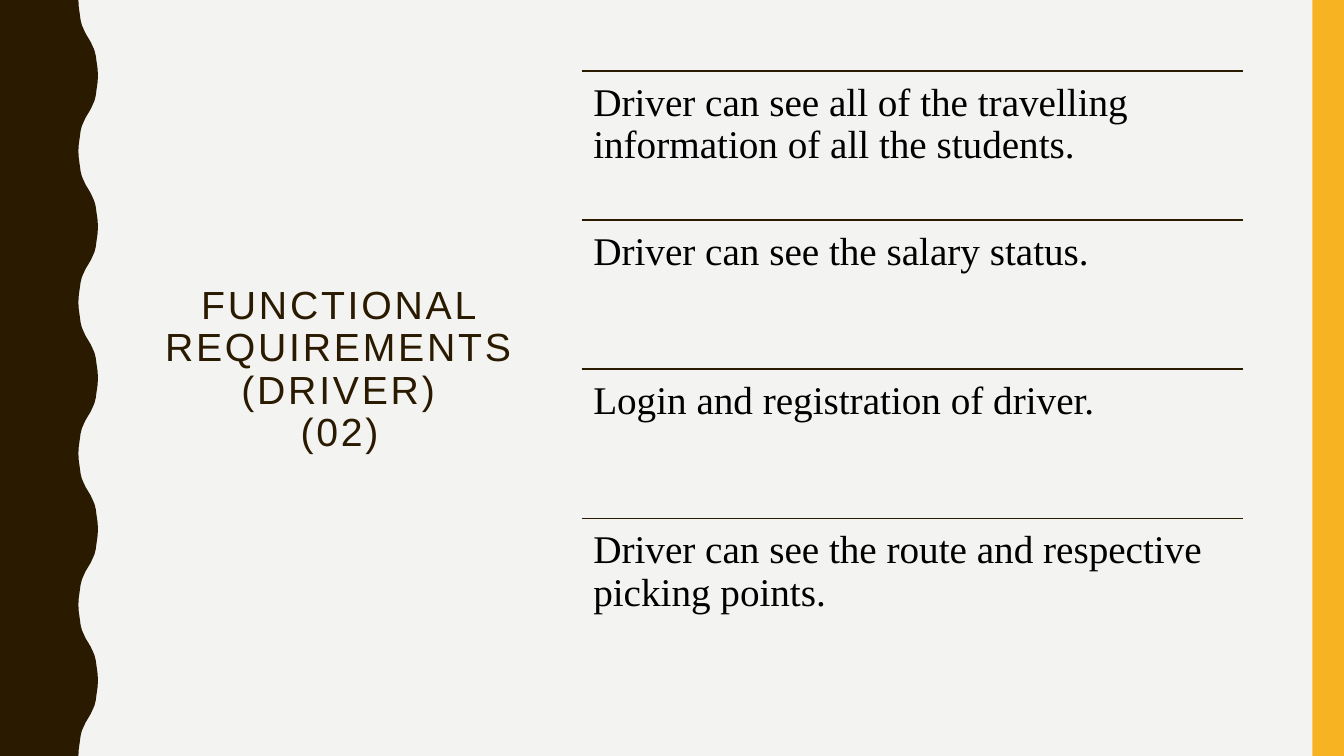
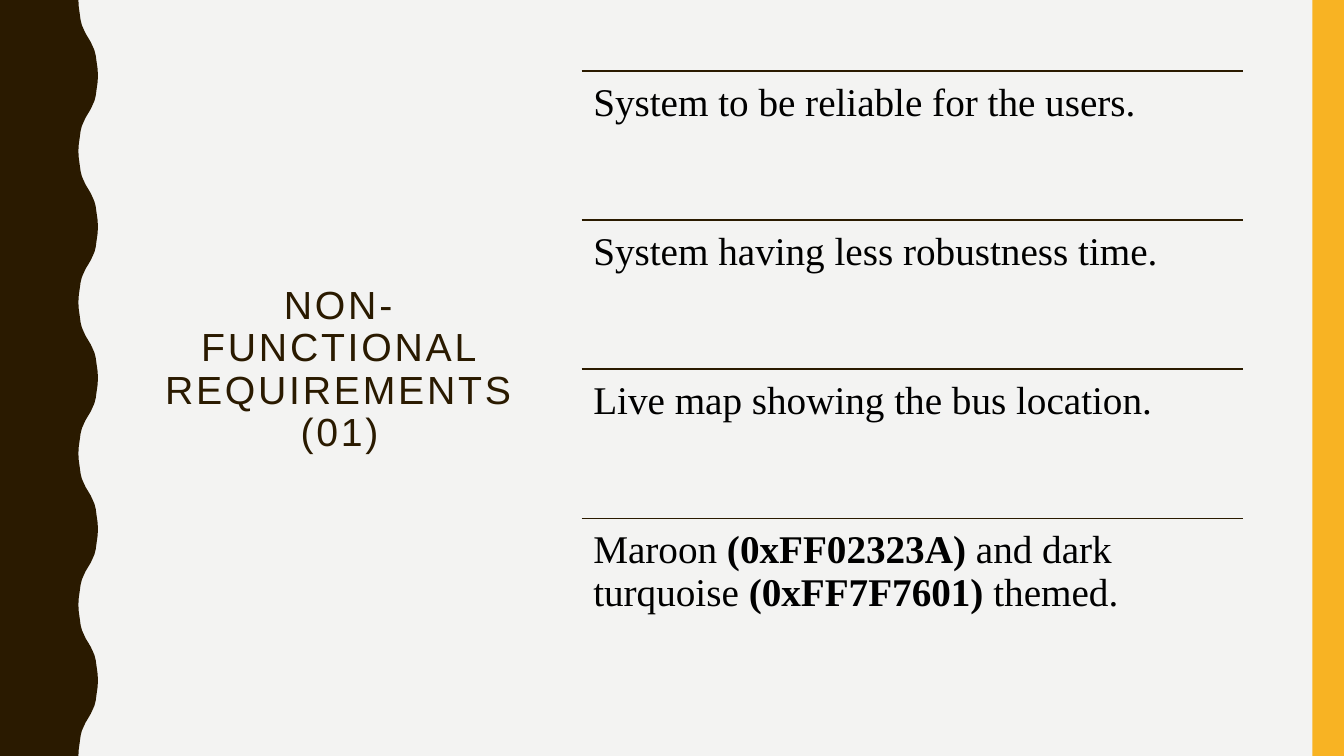
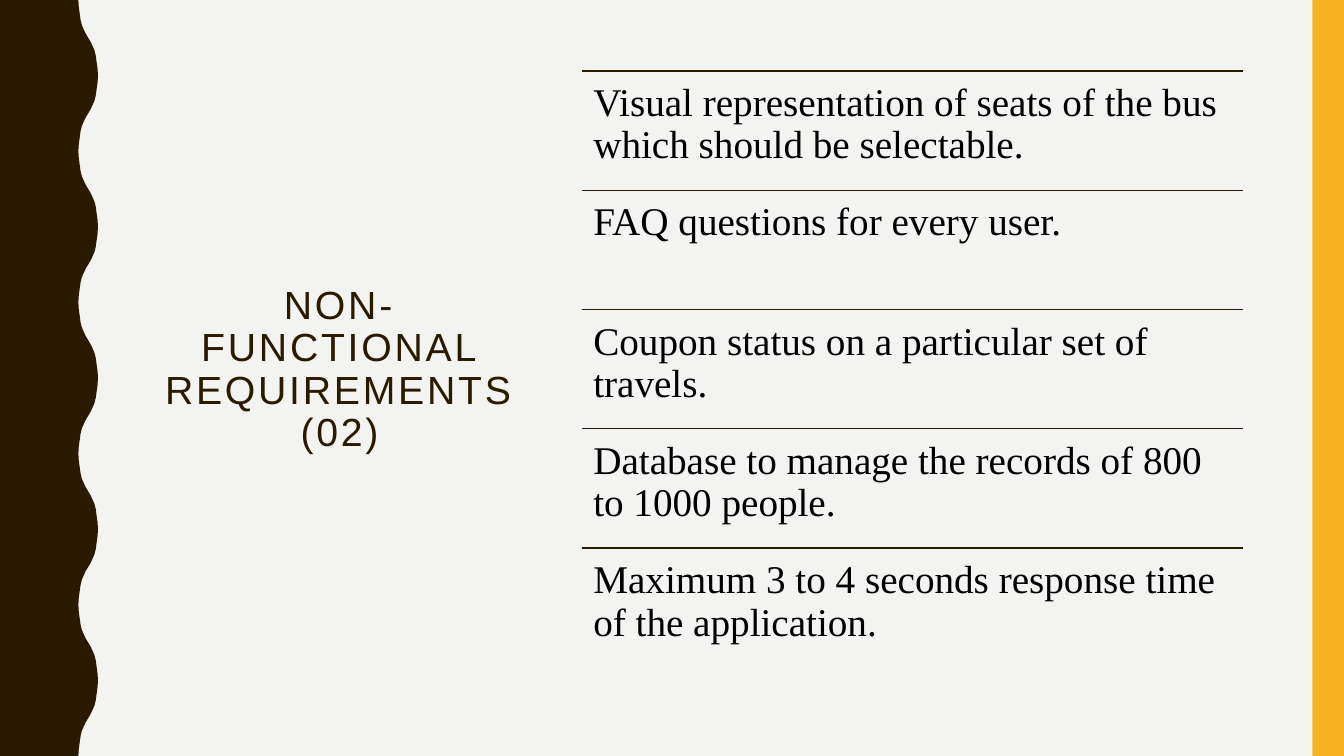
from dataclasses import dataclass

from lxml import etree
from pptx import Presentation
from pptx import util as u
from pptx.dml.color import RGBColor
from pptx.enum import shapes, text
from pptx.oxml.ns import qn

SLIDE_WIDTH, SLIDE_HEIGHT = 960, 540
PAPER, BROWN, AMBER, BLACK = "F3F3F2", "2A1A00", "F8B323", "000000"
BAND_LEFT = 937.5

WAVE_LENGTH = 108
WAVE_MIDDLE = 63
QUARTER_WAVE = [(56, 0), (56.3, 5), (57, 10), (57.6, 14.4),
                (58.5, 18), (59.8, 21), (61.2, 24), (63, 27)]


@dataclass(frozen=True)
class Box:
    left: float
    top: float
    width: float
    height: float

    def lengths(self) -> list[u.Length]:
        return [u.Pt(value) for value in (self.left, self.top, self.width, self.height)]


@dataclass(frozen=True)
class Style:
    font: str
    color: str
    align: text.PP_ALIGN
    anchor: text.MSO_ANCHOR
    inset_x: float
    inset_y: float
    tracking: float = 0


@dataclass(frozen=True)
class Piece:
    words: str
    bold: bool = False


@dataclass(frozen=True)
class RequirementSlide:
    title: str
    rows: list[list[Piece]]


TITLE_BOX = Box(98.6, 51, 288, 427)
LIST_BOX = Box(415.4, 50.7, 472.4, 426)
TITLE_STYLE = Style("Arial", BROWN, text.PP_ALIGN.CENTER, text.MSO_ANCHOR.MIDDLE, 7.2, 3.6, 2)
ROW_STYLE = Style("Times New Roman", BLACK, text.PP_ALIGN.LEFT, text.MSO_ANCHOR.TOP, 8.4, 8.4)

SLIDES = [
    RequirementSlide("FUNCTIONAL REQUIREMENTS\n(DRIVER)\n(02)", [
        [Piece("Driver can see all of the travelling information of all the students.")],
        [Piece("Driver can see the salary status.")],
        [Piece("Login and registration of driver.")],
        [Piece("Driver can see the route and respective picking points.")],
    ]),
    RequirementSlide("NON-\nFUNCTIONAL REQUIREMENTS\n(01)", [
        [Piece("System to be reliable for the users.")],
        [Piece("System having less robustness time.")],
        [Piece("Live map showing the bus location.")],
        [Piece("Maroon "), Piece("(0xFF02323A) ", True), Piece("and dark turquoise "),
         Piece("(0xFF7F7601) ", True), Piece("themed.")],
    ]),
    RequirementSlide("NON-\nFUNCTIONAL REQUIREMENTS\n(02)", [
        [Piece("Visual representation of seats of the bus which should be selectable.")],
        [Piece("FAQ questions for every user.")],
        [Piece("Coupon status on a particular set of travels.")],
        [Piece("Database to manage the records of 800 to 1000 people.")],
        [Piece("Maximum 3 to 4 seconds response time of the application.")],
    ]),
]


def paint(fill, color: str) -> None:
    fill.solid()
    fill.fore_color.rgb = RGBColor.from_string(color)


def finish_shape(shape, color: str) -> None:
    shape.shadow.inherit = False
    paint(shape.fill, color)
    shape.line.fill.background()


def wave_edge() -> list[tuple[float, float]]:
    half = WAVE_LENGTH / 2
    outward = QUARTER_WAVE + [(2 * WAVE_MIDDLE - x, half - y)
                              for x, y in reversed(QUARTER_WAVE[:-1])]
    inward = [(x, WAVE_LENGTH - y) for x, y in reversed(outward[:-1])]
    return [(x, y + start) for start in range(0, SLIDE_HEIGHT, WAVE_LENGTH)
            for x, y in outward + inward]


def add_bands(slide) -> None:
    outline = wave_edge() + [(0, SLIDE_HEIGHT)]
    builder = slide.shapes.build_freeform(0, 0)
    builder.add_line_segments([(u.Pt(x), u.Pt(y)) for x, y in outline], close=True)
    finish_shape(builder.convert_to_shape(), BROWN)
    band = Box(BAND_LEFT, 0, SLIDE_WIDTH - BAND_LEFT, SLIDE_HEIGHT)
    finish_shape(slide.shapes.add_shape(shapes.MSO_SHAPE.RECTANGLE, *band.lengths()), AMBER)


def add_text(slide, box: Box, style: Style, pieces: list[Piece]) -> None:
    frame = slide.shapes.add_textbox(*box.lengths()).text_frame
    frame.word_wrap = True
    frame.vertical_anchor = style.anchor
    frame.margin_left = frame.margin_right = u.Pt(style.inset_x)
    frame.margin_top = frame.margin_bottom = u.Pt(style.inset_y)
    paragraph = frame.paragraphs[0]
    paragraph.alignment = style.align
    paragraph.line_spacing = 0.9
    paragraph.font.name = style.font
    paragraph.font.size = u.Pt(28)
    paragraph.font.color.rgb = RGBColor.from_string(style.color)
    if style.tracking:
        defaults = paragraph._p.pPr.find(qn("a:defRPr"))
        defaults.set("spc", str(round(style.tracking * 100)))
    for piece in pieces:
        for index, line in enumerate(piece.words.split("\n")):
            if index:
                paragraph.add_line_break()
            run = paragraph.add_run()
            run.text = line
            if piece.bold:
                run.font.bold = True


def add_rule(slide, box: Box) -> None:
    left, top, right = u.Pt(box.left), u.Pt(box.top), u.Pt(box.left + box.width)
    rule = slide.shapes.add_connector(shapes.MSO_CONNECTOR.STRAIGHT, left, top, right, top)
    paint(rule.line.fill, BROWN)
    rule.line.width = u.Pt(1)
    etree.SubElement(rule._element.spPr, qn("a:effectLst"))


def add_rows(slide, rows: list[list[Piece]]) -> None:
    height = LIST_BOX.height / len(rows)
    for index, pieces in enumerate(rows):
        box = Box(LIST_BOX.left, LIST_BOX.top + index * height, LIST_BOX.width, height)
        add_rule(slide, box)
        add_text(slide, box, ROW_STYLE, pieces)


def main() -> None:
    presentation = Presentation()
    presentation.slide_width = u.Pt(SLIDE_WIDTH)
    presentation.slide_height = u.Pt(SLIDE_HEIGHT)
    paint(presentation.slide_master.background.fill, PAPER)
    for content in SLIDES:
        slide = presentation.slides.add_slide(presentation.slide_layouts[6])
        add_bands(slide)
        add_text(slide, TITLE_BOX, TITLE_STYLE, [Piece(content.title)])
        add_rows(slide, content.rows)
    presentation.save("out.pptx")


if __name__ == "__main__":
    main()
